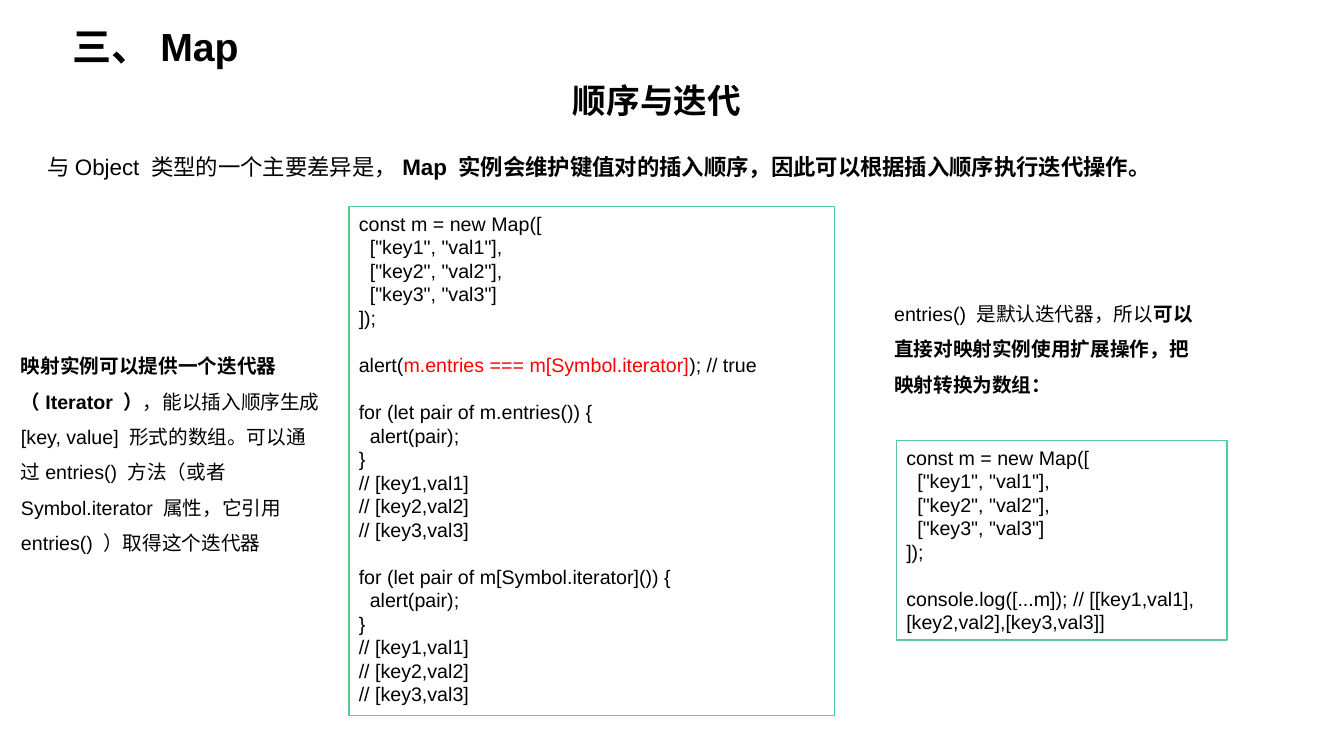
import pptx
import pptx.util
import pptx.dml.color
import pptx.enum.text
import pptx.enum.shapes

Inches = pptx.util.Inches
Pt = pptx.util.Pt
RGBColor = pptx.dml.color.RGBColor
ALIGN = pptx.enum.text.PP_ALIGN

BLACK = RGBColor(0x00, 0x00, 0x00)
WHITE = RGBColor(0xFF, 0xFF, 0xFF)
RED = RGBColor(0xFF, 0x00, 0x00)
GREEN = RGBColor(0x56, 0xCA, 0x95)
BOLD = {"bold": True}
HIGHLIGHT = {"color": RED}
CODE_SIZE = 14
BLANK_LINE = Pt(16.8)
CODE_INDENT = Inches(0.11)

# Content: prose is a list of (text, format) runs
TITLE = [("三、Map", BOLD)]
SUBTITLE = [("顺序与迭代", BOLD)]
INTRO = [
    ("与Object 类型的一个主要差异是，", {}),
    ("Map 实例会维护键值对的插入顺序，因此可以根据插入顺序执行迭代操作。", BOLD),
]
ITERATOR_NOTE = [
    ("映射实例可以提供一个迭代器（Iterator ）", BOLD),
    ("，能以插入顺序生成[key, value] 形式的数组。可以通过entries() 方法"
     "（或者Symbol.iterator 属性，它引用entries() ）取得这个迭代器", {}),
]
SPREAD_NOTE = [
    ("entries() 是默认迭代器，所以", {}),
    ("可以直接对映射实例使用扩展操作，把映射转换为数组：", BOLD),
]

# Content: code is a list of blocks, each a list of (level, runs) lines
KEYS = (1, 2, 3)


def code_line(text, level=0):
    return level, [(text, {})]


def loop_block(iterable):
    return [
        code_line(f"for (let pair of {iterable}) {{"),
        code_line("alert(pair);", 1),
        code_line("}"),
        *[code_line(f"// [key{key},val{key}]") for key in KEYS],
    ]


MAP_BLOCK = [
    code_line("const m = new Map(["),
    *[code_line(f'["key{key}", "val{key}"]' + ("," if key < KEYS[-1] else ""), 1)
      for key in KEYS],
    code_line("]);"),
]
ITERATION_CODE = [
    MAP_BLOCK,
    [(0, [("alert(", {}), ("m.entries === m[Symbol.iterator]", HIGHLIGHT),
          ("); // true", {})])],
    loop_block("m.entries()"),
    loop_block("m[Symbol.iterator]()"),
]
SPREAD_CODE = [
    MAP_BLOCK,
    [code_line("console.log([...m]); // [[key1,val1],[key2,val2],[key3,val3]]")],
]

# Layout: left, top, width, height in inches
TITLE_PLACE = (0.62, 0.17, 6.76, 0.57)
PROSE = [  # runs, place, size, paragraph format
    (SUBTITLE, (3.8, 0.74, 5.43, 0.5), 24, {"alignment": ALIGN.CENTER}),
    (INTRO, (0.37, 1.34, 12.28, 0.5), 16, {"line_spacing": 1.5}),
    (ITERATOR_NOTE, (0.11, 3.35, 3.21, 2.22), 14, {"line_spacing": 1.5}),
    (SPREAD_NOTE, (8.77, 2.83, 3.31, 1.16), 14, {"line_spacing": 1.5}),
]
CODE_BOXES = [
    (ITERATION_CODE, (3.46, 2.05, 4.82, 5.05)),
    (SPREAD_CODE, (8.89, 4.37, 3.28, 1.98)),
]


def set_attributes(target, values):
    for name, value in values.items():
        setattr(target, name, value)


def prepare_frame(shape):
    frame = shape.text_frame
    set_attributes(frame, {
        "word_wrap": True,
        "auto_size": pptx.enum.text.MSO_AUTO_SIZE.SHAPE_TO_FIT_TEXT,
        "vertical_anchor": pptx.enum.text.MSO_ANCHOR.TOP,
    })
    return frame


def write_runs(paragraph, runs, size, paragraph_format):
    set_attributes(paragraph, {"alignment": ALIGN.LEFT, **paragraph_format})
    for text, run_format in runs:
        run = paragraph.add_run()
        run.text = text
        set_attributes(run.font, {"name": "Arial", "size": Pt(size),
                                  "bold": run_format.get("bold", False)})
        run.font.color.rgb = run_format.get("color", BLACK)


def write_code(frame, blocks):
    paragraph = None
    for block_number, block in enumerate(blocks):
        for line_number, (level, runs) in enumerate(block):
            paragraph = frame.add_paragraph() if paragraph else frame.paragraphs[0]
            starts_block = block_number > 0 and line_number == 0
            write_runs(paragraph, runs, CODE_SIZE,
                       {"space_before": BLANK_LINE if starts_block else Pt(0)})
            if level:
                properties = paragraph._p.get_or_add_pPr()
                properties.set("marL", str(int(level * CODE_INDENT)))
                properties.set("indent", "0")


presentation = pptx.Presentation()
presentation.slide_width = Inches(13.33)
presentation.slide_height = Inches(7.5)
slide = presentation.slides.add_slide(presentation.slide_layouts[5])

# Title
title = slide.shapes.title
set_attributes(title, dict(zip(("left", "top", "width", "height"),
                               map(Inches, TITLE_PLACE))))
write_runs(prepare_frame(title).paragraphs[0], TITLE, 28, {})

# Code boxes
for blocks, place in CODE_BOXES:
    box = slide.shapes.add_shape(pptx.enum.shapes.MSO_SHAPE.RECTANGLE,
                                 *map(Inches, place))
    box.shadow.inherit = False
    box.fill.solid()
    box.fill.fore_color.rgb = WHITE
    box.line.color.rgb = GREEN
    box.line.width = Pt(1)
    write_code(prepare_frame(box), blocks)

# Subtitle and notes
for runs, place, size, paragraph_format in PROSE:
    note = slide.shapes.add_textbox(*map(Inches, place))
    write_runs(prepare_frame(note).paragraphs[0], runs, size, paragraph_format)

presentation.save("out.pptx")
